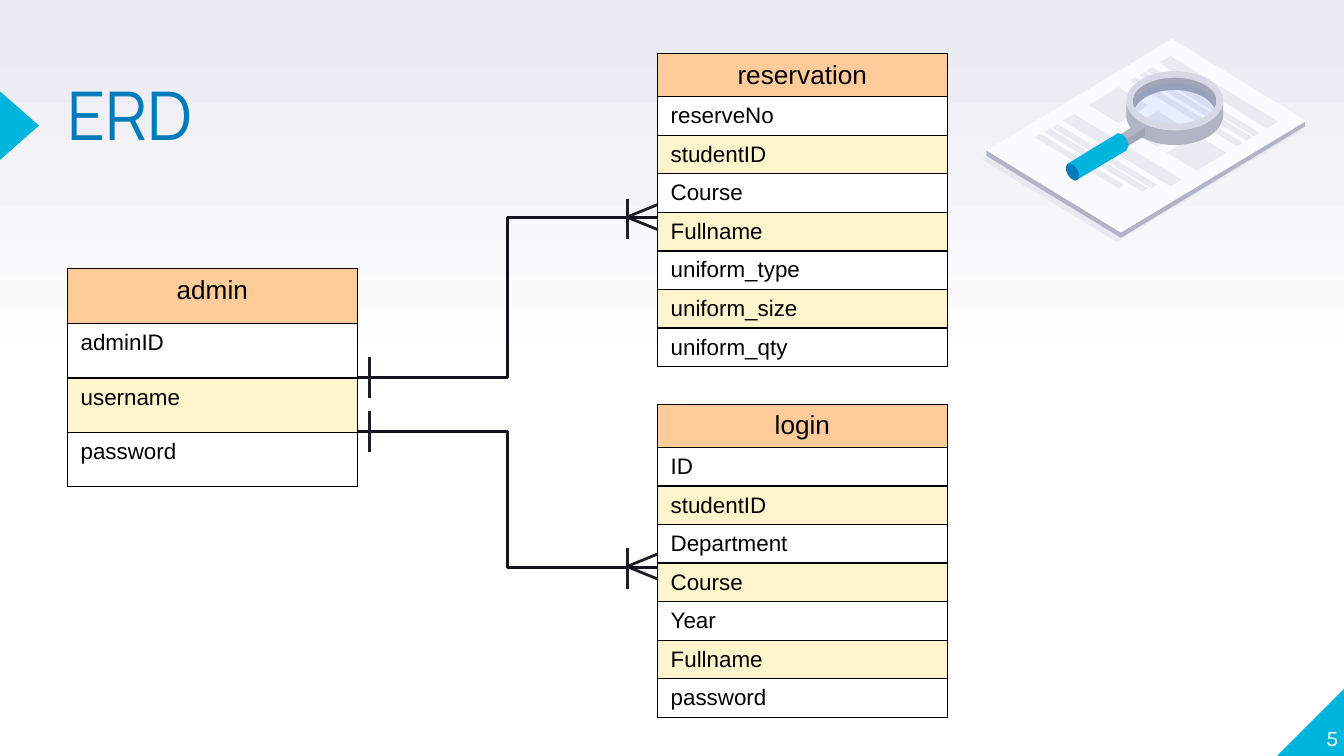
import math
from lxml import etree
from pptx import Presentation
from pptx.dml.color import RGBColor
from pptx.enum import shapes as kinds, text as txt
from pptx.oxml.ns import qn
from pptx import util as u

HUES = dict(white="FFFFFF", mist="E9EAF2", cyan="00B5DD", blue="007BB9", ink="12131E",
            dark="1D1F28", black="000000", head="FFCC99", cream="FEF5CD", sheet="FAFBFF",
            shade="D6D8E5", edge="B1B4C4", wall="A1A5B5", glass="3E7EFF")
COLS = 10
ROWS = COLS * 9 / 16
UNIT = u.Inches(10) // COLS
KIND = kinds.MSO_SHAPE


def hue(name):
    """Return the named colour."""
    return RGBColor.from_string(HUES[name])


def grid(*cells):
    """Turn grid columns and rows into lengths."""
    return [round(cell * UNIT) for cell in cells]


def paint(shape, name, alpha=100):
    """Give a shape a plain fill with no line or shadow."""
    shape.shadow.inherit = False
    shape.line.fill.background()
    shape.fill.solid()
    shape.fill.fore_color.rgb = hue(name)
    if alpha < 100:
        tint = shape._element.spPr.find(".//" + qn("a:srgbClr"))
        etree.SubElement(tint, qn("a:alpha"), val=str(alpha * 1000))
    return shape


def form(home, kind, box, name, turn=0, alpha=100):
    """Add a filled preset shape."""
    shape = paint(home.add_shape(kind, *grid(*box)), name, alpha)
    shape.rotation = turn
    return shape


def poly(home, spots, name, alpha=100):
    """Add a filled closed outline."""
    pts = [grid(*spot) for spot in spots]
    pen = home.build_freeform(*pts[0])
    pen.add_line_segments(pts[1:])
    return paint(pen.convert_to_shape(), name, alpha)


def ink(para, words, font, size, name):
    """Add a formatted run."""
    run = para.add_run()
    run.text = words
    run.font.name, run.font.size = font, u.Pt(size)
    run.font.color.rgb = hue(name)


def write(frame, words, font, size, name, align, anchor):
    """Write one run in a frame without insets."""
    frame.margin_left = frame.margin_right = frame.margin_top = frame.margin_bottom = 0
    frame.word_wrap, frame.auto_size = True, txt.MSO_AUTO_SIZE.NONE
    frame.vertical_anchor = anchor
    para = frame.paragraphs[0]
    para.alignment = align
    ink(para, words, font, size, name)
    return para


def back(slide):
    """Fade the background from white up to mist."""
    fill = slide.background.fill
    fill.gradient()
    fill.gradient_angle = 90
    for stop, name, place in zip(fill.gradient_stops, ("white", "mist"), (0.5, 1)):
        stop.color.rgb, stop.position = hue(name), place


def title(slide, box, words):
    """Fill the title and set the marker at the slide's edge."""
    form(slide.shapes, KIND.ISOSCELES_TRIANGLE, (-0.11, box[1] + 0.13, 0.51, 0.29), "cyan", 90)
    head = slide.shapes.title
    head.left, head.top, head.width, head.height = grid(*box)
    para = write(head.text_frame, words, "Manrope", 36, "blue",
                 txt.PP_ALIGN.LEFT, txt.MSO_ANCHOR.TOP)
    para.line_spacing = 0.8


def corner(slide, size, words):
    """Set the page number on the corner triangle."""
    left, top = COLS - size + 0.01, ROWS - size
    form(slide.shapes, KIND.RIGHT_TRIANGLE, (left, top, size, size), "cyan", 270)
    note = slide.shapes.add_textbox(*grid(left - 0.04, top - 0.04, 0.5, size))
    write(note.text_frame, words, "Karla", 12, "white",
          txt.PP_ALIGN.RIGHT, txt.MSO_ANCHOR.BOTTOM)


def rim(cell):
    """Draw thin black borders round a cell."""
    props = cell._tc.get_or_add_tcPr()
    for side in ("lnL", "lnR", "lnT", "lnB"):
        line = etree.SubElement(props, qn("a:" + side), w=str(u.Pt(0.75)))
        fill = etree.SubElement(line, qn("a:solidFill"))
        etree.SubElement(fill, qn("a:srgbClr"), val=HUES["black"])


def entity(slide, box, first, names):
    """Build an entity table with a head row and banded fields."""
    left, top, wide, high = box
    table = slide.shapes.add_table(len(names), 1, *grid(left, top, wide, high)).table
    table.first_row = table.horz_banding = False
    rest = (high - first) / (len(names) - 1)
    for i, name in enumerate(names):
        table.rows[i].height = grid(rest if i else first)[0]
        cell = table.cell(i, 0)
        rim(cell)
        cell.fill.solid()
        cell.fill.fore_color.rgb = hue(("cream", "white")[i % 2] if i else "head")
        para = cell.text_frame.paragraphs[0]
        para.alignment = txt.PP_ALIGN.LEFT if i else txt.PP_ALIGN.CENTER
        ink(para, name, "Arial", 12 if i else 14, "black")


def wire(slide, kind, ends, name):
    """Add a connector without a shadow."""
    line = slide.shapes.add_connector(kind, *grid(*ends))
    line.line.width, line.line.color.rgb = u.Pt(1.5), hue(name)
    etree.SubElement(line._element.spPr, qn("a:effectLst"))


def link(slide, x, y, end, goal, tick):
    """Join a one end to a many end with its crow's foot."""
    foot = slide.shapes.add_shape(KIND.ISOSCELES_TRIANGLE,
                                  *grid(end - 0.2, goal - 0.14, 0.22, 0.27))
    foot.rotation, foot.shadow.inherit = 270, False
    foot.fill.background()
    foot.line.width, foot.line.color.rgb = u.Pt(1.5), hue("dark")
    wire(slide, kinds.MSO_CONNECTOR.ELBOW, (x, y, end, goal), "ink")
    for bar, mid in ((x + 0.09, tick), (end - 0.22, goal + 0.01)):
        wire(slide, kinds.MSO_CONNECTOR.STRAIGHT, (bar, mid - 0.15, bar, mid + 0.15), "dark")


def arc(x, y, wide, high, start, stop):
    """List points along part of an oval, in degrees."""
    turns = [math.radians(start + (stop - start) * i / 24) for i in range(25)]
    return [(x + wide * math.cos(t), y + high * math.sin(t)) for t in turns]


def paper(home, x, y):
    """Draw the tilted sheet with its lines and blocks."""
    def tile(p, q, long, wide, name="mist", dx=0, dy=0, alpha=100):
        ends = ((p, q), (p, q + wide), (p + long, q + wide), (p + long, q))
        poly(home, [(x + dx + 0.03 + a + 1.38 * b, y + dy + 0.83 + 0.61 * a - 0.83 * b)
                    for a, b in ends], name, alpha)

    tile(0, 0, 1, 1, "shade", -0.03, 0.07, 40)
    side = [(0.03, 0.83), (1.03, 1.44), (2.4, 0.61)]
    poly(home, [(x + a, y + b) for a, b in side]
         + [(x + a, y + b + 0.04) for a, b in side[::-1]], "edge")
    tile(0, 0, 1, 1, "sheet")
    for q, long, wide in ((0.86, 0.8, 0.06), (0.79, 0.8, 0.03), (0.75, 0.8, 0.03),
                          (0.7, 0.8, 0.03), (0.34, 0.8, 0.06), (0.28, 0.74, 0.03),
                          (0.24, 0.73, 0.03), (0.19, 0.62, 0.03)):
        tile(0.1, q, long, wide)
    for i in range(3):
        tile(0.1 + 0.29 * i, 0.48, 0.22, 0.16)


def lens(home, x, y):
    """Draw the magnifying glass round the centre of its ring."""
    drop = y + 0.11
    poly(home, arc(x, y, 0.31, 0.19, 180, 360) + arc(x, drop, 0.31, 0.19, 360, 180), "wall")
    form(home, KIND.OVAL, (x - 0.3, y - 0.13, 0.6, 0.36), "glass", alpha=10)
    poly(home, arc(x, drop, 0.36, 0.22, 0, 180) + arc(x, y, 0.36, 0.22, 180, 0), "edge")
    ring = form(home, KIND.DONUT, (x - 0.36, y - 0.22, 0.72, 0.44), "shade")
    ring.adjustments[0] = 0.11
    for name, spots in (
            ("edge", ((-0.22, 0.2), (-0.37, 0.29), (-0.42, 0.26), (-0.27, 0.17))),
            ("wall", ((-0.22, 0.26), (-0.37, 0.35), (-0.37, 0.29), (-0.22, 0.2))),
            ("cyan", ((-0.8, 0.47), (-0.42, 0.24), (-0.39, 0.25), (-0.36, 0.28),
                      (-0.34, 0.33), (-0.36, 0.37), (-0.73, 0.59)))):
        poly(home, [(x + a, y + b) for a, b in spots], name)
    form(home, KIND.OVAL, (x - 0.8, y + 0.46, 0.08, 0.14), "blue", 330)


def main():
    """Build the slide and save it."""
    deck = Presentation()
    deck.slide_width, deck.slide_height = grid(COLS, ROWS)
    slide = deck.slides.add_slide(deck.slide_layouts[5])
    back(slide)
    title(slide, (0.5, 0.66, 6.17, 0.62), "ERD")
    corner(slide, 0.51, "5")
    art = slide.shapes.add_group_shape().shapes
    paper(art, 7.31, 0.29)
    lens(art, 8.74, 0.75)
    wide, left, right = 2.16, 0.5, 4.89
    link(slide, left + wide, 2.81, right, 1.62, 2.81)
    link(slide, left + wide, 3.21, right, 4.22, 3.21)
    entity(slide, (left, 2, wide, 1.62), 0.41, ["admin", "adminID", "username", "password"])
    entity(slide, (right, 0.4, wide, 2.32), 0.31,
           ["reservation", "reserveNo", "studentID", "Course", "Fullname",
            "uniform_type", "uniform_size", "uniform_qty"])
    entity(slide, (right, 3.01, wide, 2.32), 0.31,
           ["login", "ID", "studentID", "Department", "Course", "Year", "Fullname", "password"])
    deck.save("out.pptx")


if __name__ == "__main__":
    main()
